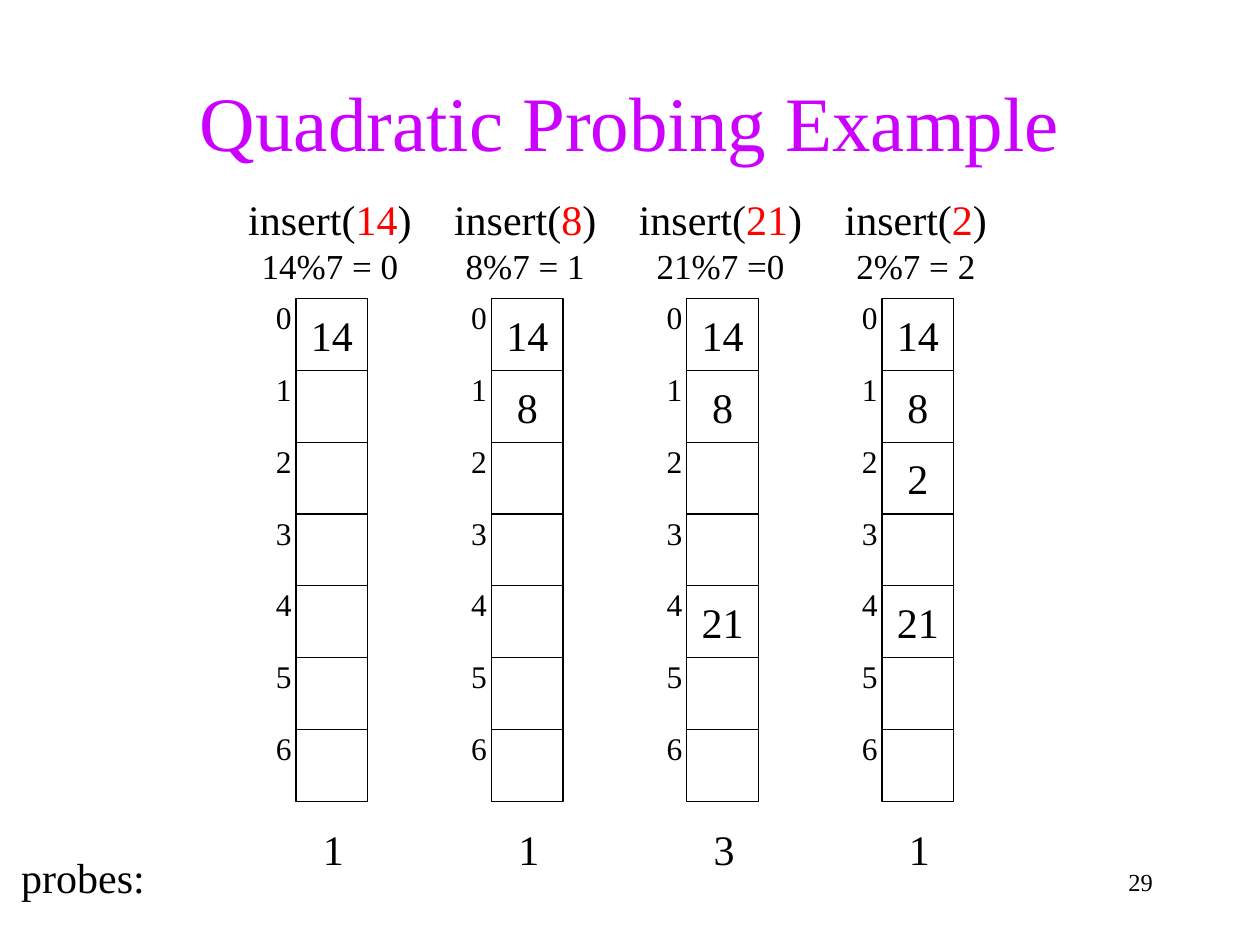
from pptx import Presentation
from pptx.dml.color import RGBColor
from pptx.enum.shapes import MSO_SHAPE
from pptx.enum.text import MSO_ANCHOR, MSO_AUTO_SIZE, PP_ALIGN
from pptx.util import Pt

RECT = MSO_SHAPE.RECTANGLE
LEFT, MID, RIGHT = PP_ALIGN.LEFT, PP_ALIGN.CENTER, PP_ALIGN.RIGHT
TOP, CENTER = MSO_ANCHOR.TOP, MSO_ANCHOR.MIDDLE
GROW, FIXED = MSO_AUTO_SIZE.SHAPE_TO_FIT_TEXT, MSO_AUTO_SIZE.NONE
COLORS = {"ink": "000000", "title": "CC00FF", "key": "FF0000"}
FONT = "Times New Roman"

CELL = 41.04
GAP = 111.6
GRID_X, GRID_Y = 169.2, 170.64
SLOTS = 7

STEPS = [
    (14, "14%7 = 0", 0, 1),
    (8, "8%7 = 1", 1, 1),
    (21, "21%7 =0", 4, 3),
    (2, "2%7 = 2", 2, 1),
]


def color(name):
    return RGBColor.from_string(COLORS[name])


def write(frame, text, size=24, ink="ink", align=LEFT, anchor=TOP,
          wrap=False, fit=FIXED, more=False):
    frame.word_wrap = wrap
    frame.auto_size = fit
    frame.vertical_anchor = anchor
    para = frame.add_paragraph() if more else frame.paragraphs[0]
    para.alignment = align
    parts = [(text, ink)] if isinstance(text, str) else text
    for part, tone in parts:
        run = para.add_run()
        run.text = part
        run.font.name = FONT
        run.font.size = Pt(size)
        run.font.color.rgb = color(tone)


class Deck:
    def __init__(self, wide, high):
        self.file = Presentation()
        self.file.slide_width, self.file.slide_height = Pt(wide), Pt(high)
        self.slide = self.file.slides.add_slide(self.file.slide_layouts[5])

    def title(self, text, x, y, w, h):
        shape = self.slide.shapes.title
        shape.left, shape.top = Pt(x), Pt(y)
        shape.width, shape.height = Pt(w), Pt(h)
        write(shape.text_frame, text, size=44, ink="title", align=MID,
              anchor=CENTER, wrap=True)

    def label(self, text, x, y, w, h, **style):
        box = self.slide.shapes.add_textbox(Pt(x), Pt(y), Pt(w), Pt(h))
        write(box.text_frame, text, **style)
        return box.text_frame

    def cell(self, text, x, y):
        box = self.slide.shapes.add_shape(RECT, Pt(x), Pt(y), Pt(CELL), Pt(CELL))
        box.shadow.inherit = False
        box.fill.background()
        box.line.color.rgb = color("ink")
        box.line.width = Pt(0.75)
        if text:
            write(box.text_frame, text, align=MID, anchor=CENTER)

    def head(self, key, rule, mid):
        wide = 84 + 12 * len(key)
        call = [("insert(", "ink"), (key, "key"), (")", "ink")]
        frame = self.label(call, mid - wide / 2, 107.3, wide, 60,
                           align=MID, fit=GROW)
        write(frame, rule, size=20, align=MID, fit=GROW, more=True)

    def column(self, x, table):
        for slot in range(SLOTS):
            y = GRID_Y + slot * CELL
            self.cell(table.get(slot), x, y)
            self.label(str(slot), x - 18.6, y - 3.8, 23.8, 29,
                       size=18, fit=GROW)


def main():
    deck = Deck(720, 540)
    deck.title("Quadratic Probing Example", 54, 24, 612, 90)
    deck.label("probes:", 5, 483, 85, 36, fit=GROW)
    table = {}
    for col, (key, rule, slot, probes) in enumerate(STEPS):
        x = GRID_X + col * GAP
        table[slot] = str(key)
        deck.head(str(key), rule, x + CELL / 2 - 1.2)
        deck.column(x, table)
        deck.label(str(probes), x + 8.3, 467.3, 26.6, 36, fit=GROW)
    deck.label("29", 516, 492, 150, 36, size=14, align=RIGHT, wrap=True)
    deck.file.save("out.pptx")


if __name__ == "__main__":
    main()
